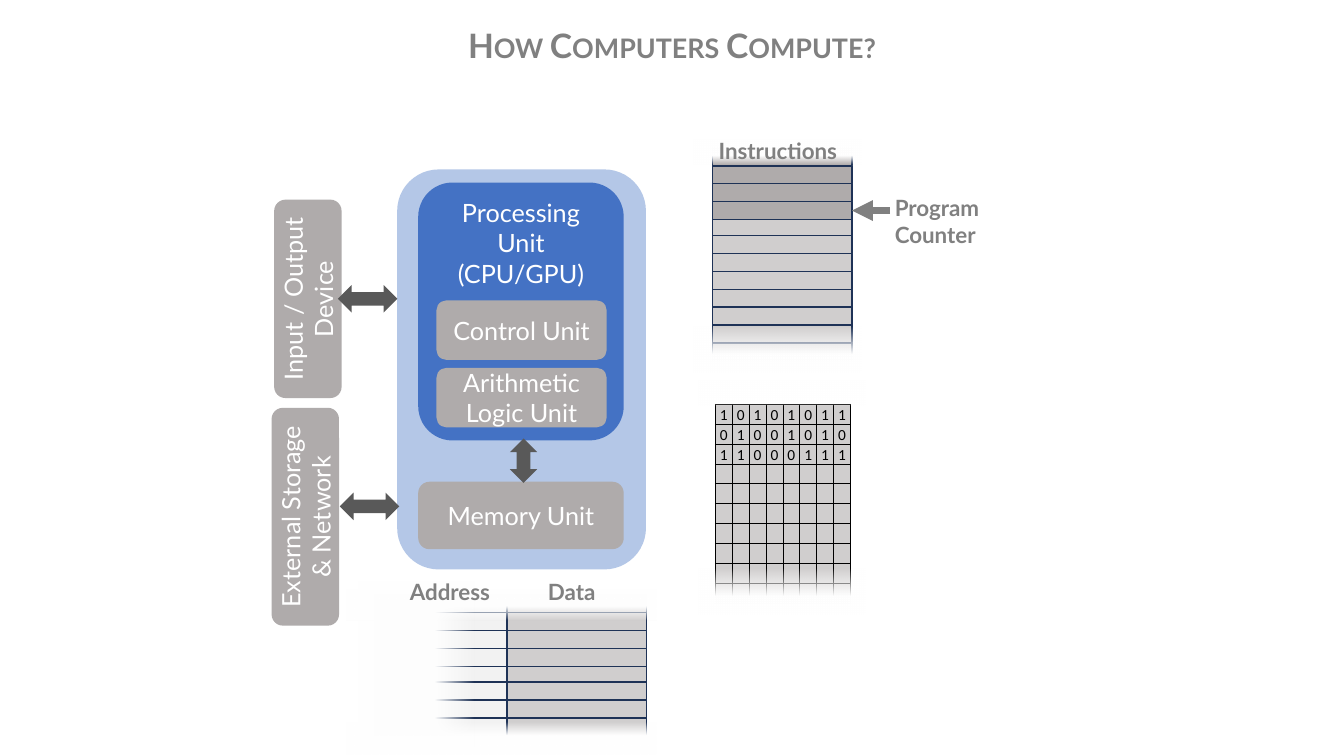
from dataclasses import dataclass

import lxml.etree
import pptx
import pptx.dml.color
import pptx.enum.shapes
import pptx.enum.text
import pptx.oxml
import pptx.oxml.ns
import pptx.util

Cm = pptx.util.Cm
Pt = pptx.util.Pt
qn = pptx.oxml.ns.qn
Kind = pptx.enum.shapes.MSO_SHAPE
Align = pptx.enum.text.PP_ALIGN
Anchor = pptx.enum.text.MSO_ANCHOR

COLORS = {
    "white": "FFFFFF", "black": "000000", "heading": "808080", "case": "B4C7E7",
    "processor": "4472C4", "unit": "AFABAB", "arrow": "595959", "address": "F2F2F2",
    "cell": "D0CECE", "rule": "1E3256",
}
ROW_WIDTH, ROW_HEIGHT = 3.51, 0.45
BIT_ROWS = ["10101011", "01001010", "11000111"] + [" " * 8] * 7
COLUMN_WIDTH, BIT_HEIGHT = 0.425, 0.5


@dataclass
class Block:
    left: float
    top: float
    width: float
    height: float
    color: str = "unit"
    text: str = ""
    kind: Kind = Kind.ROUNDED_RECTANGLE
    rotation: int = 0
    anchor: Anchor = Anchor.MIDDLE


@dataclass
class Stack:
    left: float
    top: float
    count: int
    color: str


@dataclass
class Fade:
    left: float
    top: float
    width: float
    height: float
    stops: tuple[int, int, int, int]
    rotation: int = 0
    alphas: tuple[int, int, int, int] = (100, 0, 0, 100)


@dataclass
class Label:
    left: float
    top: float
    width: float
    height: float
    text: str
    wrap: bool = False


COMPUTER = [
    Block(10.01, 4.27, 6.27, 10.08, "case"),
    Block(10.54, 4.6, 5.18, 6.5, "processor", "Processing Unit (CPU/GPU)", anchor=Anchor.TOP),
    Block(10.54, 12.14, 5.18, 1.7, text="Memory Unit"),
    Block(12.85, 11.05, 0.69, 1.12, "arrow", kind=Kind.UP_DOWN_ARROW),
    Block(11, 9.27, 4.29, 1.5, text="Arithmetic Logic Unit"),
    Block(11, 7.57, 4.29, 1.5, text="Control Unit"),
]
PERIPHERALS = [
    Block(5.26, 6.68, 5, 1.7, text="Input / Output Device", rotation=270),
    Block(8.92, 6.78, 0.69, 1.5, "arrow", kind=Kind.UP_DOWN_ARROW, rotation=270),
    Block(8.97, 12.01, 0.69, 1.5, "arrow", kind=Kind.UP_DOWN_ARROW, rotation=270),
    Block(4.95, 12.17, 5.49, 1.7, text="External Storage & Network", rotation=270),
]
MEMORY = [
    Stack(left, top, 4, color)
    for left, color in ((9.45, "address"), (12.78, "cell"))
    for top in (16.74, 14.99)
]
MEMORY_FADES = [
    Fade(8.74, 14.86, 7.8, 4.14, (10, 19, 80, 88)),
    Fade(11.13, 12.57, 4.14, 8.33, (23, 35, 100, 100), 270, (100, 0, 0, 0)),
]
PENDING = Stack(17.96, 5.49, 8, "cell")
EXECUTED = Stack(17.96, 3.73, 4, "unit")
LIST_STOPS = (7, 11, 80, 92)
INSTRUCTIONS_FADE = Fade(17.48, 3.51, 4.22, 5.89, LIST_STOPS)
BITS_FADE = Fade(17.6, 9.6, 4.22, 5.89, LIST_STOPS)
LABELS = [
    Label(13.56, 14.45, 1.8, 0.94, "Data"),
    Label(10.08, 14.45, 2.69, 0.94, "Address"),
    Label(17.86, 3.33, 3.68, 0.94, "Instructions"),
    Label(22.3, 4.78, 2.84, 1.63, "Program\nCounter", wrap=True),
]


def rgb(color: str) -> pptx.dml.color.RGBColor:
    return pptx.dml.color.RGBColor.from_string(COLORS[color])


def format_text(frame, size: float, color: str, bold=False, align=None, font="Lato") -> None:
    for paragraph in frame.paragraphs:
        paragraph.alignment = align
        for run in paragraph.runs:
            run.font.name = font
            run.font.size = Pt(size)
            run.font.bold = bold
            run.font.color.rgb = rgb(color)


def draw_block(slide, block: Block):
    shape = slide.shapes.add_shape(
        block.kind, Cm(block.left), Cm(block.top), Cm(block.width), Cm(block.height))
    shape.shadow.inherit = False
    shape.rotation = block.rotation
    shape.fill.solid()
    shape.fill.fore_color.rgb = rgb(block.color)
    shape.line.fill.background()
    if block.text:
        shape.text_frame.text = block.text
        shape.text_frame.vertical_anchor = block.anchor
        format_text(shape.text_frame, 18, "white", align=Align.CENTER)
    return shape


def draw_stack(slide, stack: Stack) -> list:
    rows = []
    for index in range(stack.count):
        row = draw_block(slide, Block(stack.left, stack.top + index * ROW_HEIGHT, ROW_WIDTH,
                                      ROW_HEIGHT, stack.color, kind=Kind.RECTANGLE))
        row.line.color.rgb = rgb("rule")
        row.line.width = Pt(1)
        rows.append(row)
    return rows


def draw_fade(slide, fade: Fade) -> None:
    veil = draw_block(slide, Block(fade.left, fade.top, fade.width, fade.height, "white",
                                   kind=Kind.RECTANGLE, rotation=fade.rotation))
    stops = "".join(
        f'<a:gs pos="{stop * 1000}"><a:srgbClr val="{COLORS["white"]}">'
        f'<a:alpha val="{alpha * 1000}"/></a:srgbClr></a:gs>'
        for stop, alpha in zip(fade.stops, fade.alphas))
    gradient = pptx.oxml.parse_xml(
        f'<a:gradFill {pptx.oxml.ns.nsdecls("a")} rotWithShape="1"><a:gsLst>{stops}</a:gsLst>'
        '<a:lin ang="5400000" scaled="0"/></a:gradFill>')
    properties = veil._element.spPr
    properties.replace(properties.find(qn("a:solidFill")), gradient)


def draw_label(slide, label: Label) -> None:
    frame = slide.shapes.add_textbox(
        Cm(label.left), Cm(label.top), Cm(label.width), Cm(label.height)).text_frame
    frame.text = label.text
    frame.word_wrap = label.wrap
    frame.auto_size = pptx.enum.text.MSO_AUTO_SIZE.SHAPE_TO_FIT_TEXT
    format_text(frame, 16, "heading", bold=True)


def draw_counter_arrow(slide, current_row) -> None:
    y = Cm(EXECUTED.top + (EXECUTED.count - 0.5) * ROW_HEIGHT)
    arrow = slide.shapes.add_connector(
        pptx.enum.shapes.MSO_CONNECTOR.STRAIGHT, Cm(22.43), y, Cm(21.47), y)
    arrow.end_connect(current_row, 3)
    arrow.line.color.rgb = rgb("heading")
    arrow.line.width = Pt(5)
    lxml.etree.SubElement(arrow.line._get_or_add_ln(), qn("a:tailEnd"), type="triangle")
    lxml.etree.SubElement(arrow._element.spPr, qn("a:effectLst"))


def set_borders(cell, widths: dict[str, float]) -> None:
    properties = cell._tc.get_or_add_tcPr()
    for index, (side, width) in enumerate(widths.items()):
        properties.insert(index, pptx.oxml.parse_xml(
            f'<a:{side} {pptx.oxml.ns.nsdecls("a")} w="{Pt(width)}"><a:solidFill>'
            f'<a:srgbClr val="{COLORS["black"]}"/></a:solidFill></a:{side}>'))


def draw_bits(slide) -> None:
    columns = len(BIT_ROWS[0])
    table = slide.shapes.add_table(
        len(BIT_ROWS), columns, Cm(18.03), Cm(10.19),
        Cm(columns * COLUMN_WIDTH), Cm(len(BIT_ROWS) * BIT_HEIGHT)).table
    for column in table.columns:
        column.width = Cm(COLUMN_WIDTH)
    for y, bits in enumerate(BIT_ROWS):
        table.rows[y].height = Cm(BIT_HEIGHT)
        for x, bit in enumerate(bits):
            cell = table.cell(y, x)
            cell.margin_left = cell.margin_right = cell.margin_top = Cm(0.03)
            cell.margin_bottom = 0
            cell.vertical_anchor = Anchor.MIDDLE
            cell.fill.solid()
            cell.fill.fore_color.rgb = rgb("cell")
            cell.text_frame.text = bit.strip()
            format_text(cell.text_frame, 11, "black", align=Align.CENTER, font="Calibri")
            lxml.etree.SubElement(
                cell.text_frame.paragraphs[0]._p, qn("a:endParaRPr"), sz="1100")
            set_borders(cell, {"lnL": 1 if x == 0 else 0.5,
                               "lnR": 1 if x == columns - 1 else 0.5,
                               "lnT": 1 if y == 0 else 0.5, "lnB": 0.5})


def draw_title(slide) -> None:
    title = slide.shapes.title
    title.left, title.top, title.width, title.height = Cm(6.05), Cm(0.51), Cm(21.77), Cm(1.27)
    title.text_frame.text = "How Computers Compute?"
    title.text_frame.vertical_anchor = Anchor.MIDDLE
    format_text(title.text_frame, 24, "heading", bold=True, align=Align.CENTER)
    title.text_frame.paragraphs[0].runs[0].font._element.set("cap", "small")


def main() -> None:
    deck = pptx.Presentation()
    deck.slide_width, deck.slide_height = Cm(33.87), Cm(19.05)
    slide = deck.slides.add_slide(deck.slide_layouts[5])
    draw_title(slide)
    for block in COMPUTER:
        draw_block(slide, block)
    for stack in MEMORY:
        draw_stack(slide, stack)
    for fade in MEMORY_FADES:
        draw_fade(slide, fade)
    draw_stack(slide, PENDING)
    executed_rows = draw_stack(slide, EXECUTED)
    draw_fade(slide, INSTRUCTIONS_FADE)
    for label in LABELS:
        draw_label(slide, label)
    draw_counter_arrow(slide, executed_rows[-1])
    for block in PERIPHERALS:
        draw_block(slide, block)
    draw_bits(slide)
    draw_fade(slide, BITS_FADE)
    deck.save("out.pptx")


if __name__ == "__main__":
    main()
